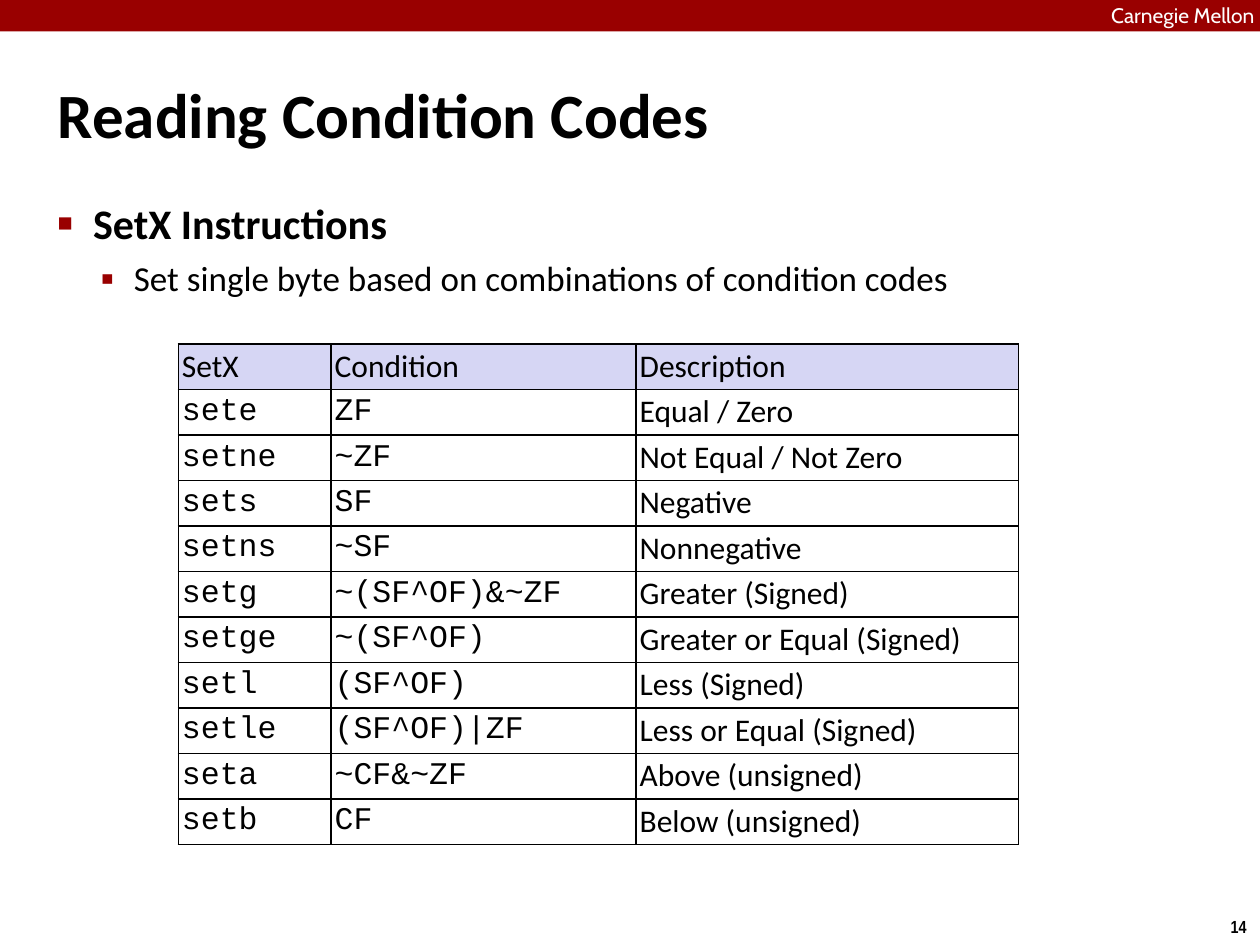
from dataclasses import dataclass

from lxml.etree import SubElement
from pptx import Presentation
from pptx.dml.color import RGBColor
from pptx.enum.shapes import MSO_SHAPE
from pptx.enum.text import MSO_ANCHOR, MSO_AUTO_SIZE, PP_ALIGN
from pptx.oxml.ns import qn
from pptx.util import Pt

TITLE = "Reading Condition Codes"
BANNER = "Carnegie Mellon"
PAGE_NUMBER = "14"
BULLETS = [
    ("SetX Instructions", 0),
    ("Set single byte based on combinations of condition codes", 1),
]
ROWS = [
    ("SetX", "Condition", "Description"),
    ("sete", "ZF", "Equal / Zero"),
    ("setne", "~ZF", "Not Equal / Not Zero"),
    ("sets", "SF", "Negative"),
    ("setns", "~SF", "Nonnegative"),
    ("setg", "~(SF^OF)&~ZF", "Greater (Signed)"),
    ("setge", "~(SF^OF)", "Greater or Equal (Signed)"),
    ("setl", "(SF^OF)", "Less (Signed)"),
    ("setle", "(SF^OF)|ZF", "Less or Equal (Signed)"),
    ("seta", "~CF&~ZF", "Above (unsigned)"),
    ("setb", "CF", "Below (unsigned)"),
]
COLUMN_WIDTHS = (87.3, 174.3, 218.4)
ROW_HEIGHT = 26
CODE_COLUMNS = (0, 1)


@dataclass(frozen=True)
class Theme:
    red: str = "990000"
    black: str = "000000"
    white: str = "FFFFFF"
    header: str = "D6D6F4"
    sans: str = "Calibri"
    code: str = "Courier New"
    banner: str = "Cabin"
    number: str = "Arial Narrow"
    title_size: int = 36
    table_size: int = 18
    banner_size: int = 12
    number_size: int = 10


THEME = Theme()
# Per list level: size, bold, left margin, hanging indent, space before, bullet, bullet percent
LEVELS = [
    (24, True, 20.25, 20.25, 6, "■", 60),
    (20, False, 43.5, 19, 5, "▪", 110),
]


def style(paragraph, name, size, color=THEME.black, bold=False):
    font = paragraph.font
    font.name, font.size, font.bold = name, Pt(size), bold
    font.color.rgb = RGBColor.from_string(color)


def place(shape, left, top, width, height):
    shape.left, shape.top = Pt(left), Pt(top)
    shape.width, shape.height = Pt(width), Pt(height)


def set_insets(target, inset):
    target.margin_left = target.margin_right = Pt(inset)
    target.margin_top = target.margin_bottom = Pt(inset)


def set_indent(paragraph, margin, hanging):
    properties = paragraph._p.get_or_add_pPr()
    properties.set("marL", str(Pt(margin)))
    properties.set("indent", str(-Pt(hanging)))
    return properties


def add_banner(page):
    bar = page.shapes.add_shape(MSO_SHAPE.RECTANGLE, 0, 0, Pt(720), Pt(18))
    bar.shadow.inherit = False
    bar.fill.solid()
    bar.fill.fore_color.rgb = RGBColor.from_string(THEME.red)
    bar.line.fill.background()

    box = page.shapes.add_textbox(Pt(635), Pt(1.5), Pt(104), Pt(14))
    set_insets(box.text_frame, 0)
    box.text_frame.word_wrap = True
    para = box.text_frame.paragraphs[0]
    para.text = BANNER
    style(para, THEME.banner, THEME.banner_size, THEME.white)


def add_page_number(page):
    box = page.shapes.add_textbox(Pt(695.5), Pt(520), Pt(24.5), Pt(19.5))
    box.text_frame.word_wrap = False
    para = box.text_frame.paragraphs[0]
    para.text = PAGE_NUMBER
    para.alignment = PP_ALIGN.CENTER
    style(para, THEME.number, THEME.number_size, bold=True)


def fill_title(title):
    place(title, 30, 20, 660, 90)
    frame = title.text_frame
    frame.auto_size = MSO_AUTO_SIZE.NONE
    frame.vertical_anchor = MSO_ANCHOR.MIDDLE
    set_insets(frame, 3)
    para = frame.paragraphs[0]
    para.text = TITLE
    para.alignment = PP_ALIGN.LEFT
    set_indent(para, 9, 9)
    style(para, THEME.sans, THEME.title_size, bold=True)


def fill_body(body):
    place(body, 30, 110, 660, 428)
    frame = body.text_frame
    frame.auto_size = MSO_AUTO_SIZE.NONE
    set_insets(frame, 3)
    for index, (text, level) in enumerate(BULLETS):
        size, bold, margin, hanging, before, bullet, percent = LEVELS[level]
        para = frame.add_paragraph() if index else frame.paragraphs[0]
        para.text = text
        para.level = level
        properties = set_indent(para, margin, hanging)
        color = SubElement(properties, qn("a:buClr"))
        SubElement(color, qn("a:srgbClr"), val=THEME.red)
        SubElement(properties, qn("a:buSzPct"), val=str(percent * 1000))
        SubElement(properties, qn("a:buChar"), char=bullet)
        para.space_before = Pt(before if index else 0)
        style(para, THEME.sans, size, bold=bold)


def add_borders(cell):
    properties = cell._tc.get_or_add_tcPr()
    for side in ("lnL", "lnR", "lnT", "lnB"):
        line = SubElement(properties, qn(f"a:{side}"), w=str(Pt(1)))
        fill = SubElement(line, qn("a:solidFill"))
        SubElement(fill, qn("a:srgbClr"), val=THEME.black)


def add_condition_table(page):
    frame = page.shapes.add_table(
        len(ROWS), len(COLUMN_WIDTHS), Pt(102), Pt(196.5),
        Pt(sum(COLUMN_WIDTHS)), Pt(ROW_HEIGHT * len(ROWS)))
    table = frame.table
    table.horz_banding = table.first_row = False
    for column, width in zip(table.columns, COLUMN_WIDTHS):
        column.width = Pt(width)
    for row_index, values in enumerate(ROWS):
        table.rows[row_index].height = Pt(ROW_HEIGHT)
        for column_index, value in enumerate(values):
            cell = table.cell(row_index, column_index)
            is_header = row_index == 0
            is_code = not is_header and column_index in CODE_COLUMNS
            cell.text = value
            cell.vertical_anchor = MSO_ANCHOR.MIDDLE
            set_insets(cell, 2)
            add_borders(cell)
            if is_header:
                cell.fill.solid()
                cell.fill.fore_color.rgb = RGBColor.from_string(THEME.header)
            else:
                cell.fill.background()
            style(cell.text_frame.paragraphs[0],
                  THEME.code if is_code else THEME.sans, THEME.table_size)


def main():
    deck = Presentation()
    deck.slide_width, deck.slide_height = Pt(720), Pt(540)
    page = deck.slides.add_slide(deck.slide_layouts[1])
    add_page_number(page)
    add_banner(page)
    fill_title(page.shapes.title)
    fill_body(page.placeholders[1])
    add_condition_table(page)
    deck.save("out.pptx")


if __name__ == "__main__":
    main()
